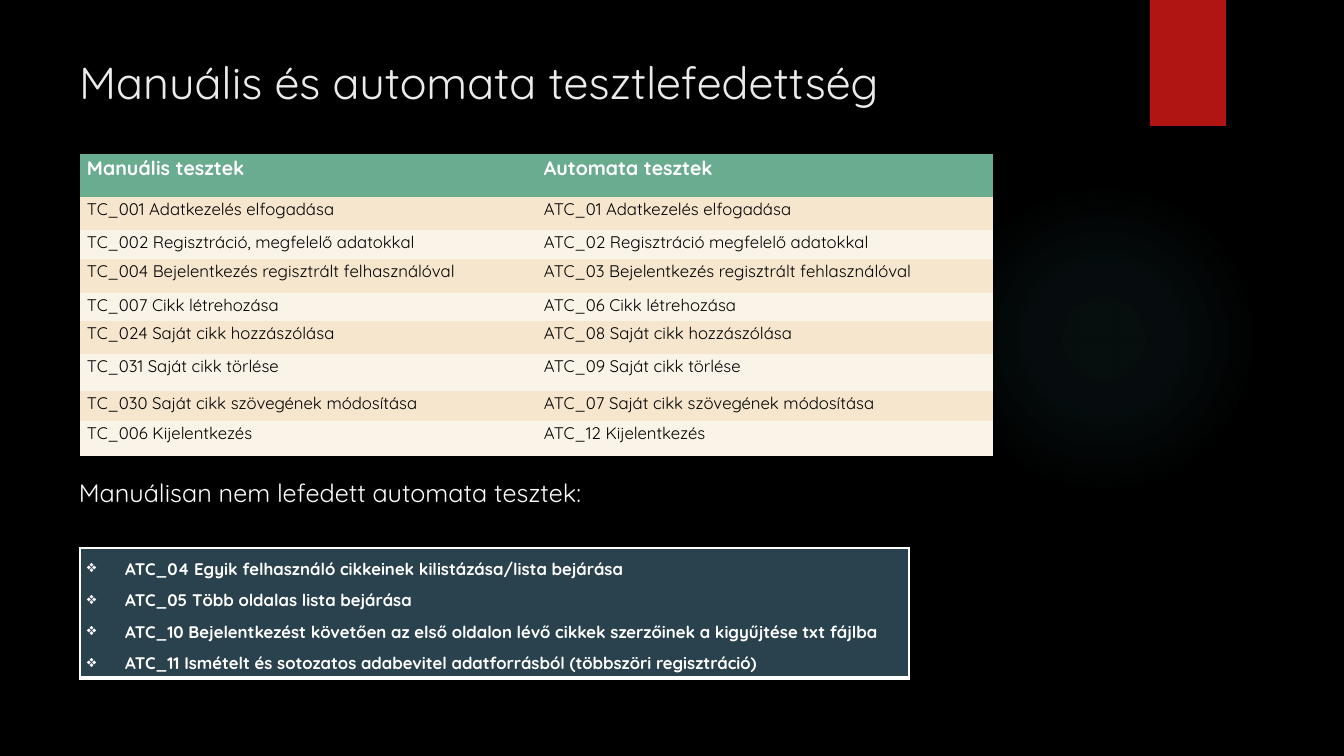
from dataclasses import dataclass

from pptx import Presentation
from pptx import util as u
from pptx.dml.color import RGBColor
from pptx.enum import shapes, text
from pptx.oxml import parse_xml
from pptx.oxml.ns import qn

EMU_PER_PX = 914400 / 100.8
EMU_PER_PT = 12700
DRAWING_NS = 'xmlns:a="http://schemas.openxmlformats.org/drawingml/2006/main"'
PLAIN_TABLE_STYLE = "{2D5ABB26-0587-4C30-8999-92F81FD0307C}"


@dataclass(frozen=True)
class Theme:
    font: str = "Quicksand"
    background: str = "000000"
    glow: str = "50B9C1"
    ribbon: str = "B01513"
    title: str = "EBEBEB"
    light: str = "FFFFFF"
    dark: str = "000000"
    header: str = "6AAC90"
    bands: tuple = ("F5E6CD", "FAF3E8")
    panel: str = "2A424D"
    title_size: int = 32
    subtitle_size: int = 18
    header_size: int = 14
    body_size: int = 12


THEME = Theme()

COVERAGE = [
    ("Manuális tesztek", "Automata tesztek"),
    ("TC_001 Adatkezelés elfogadása", "ATC_01 Adatkezelés elfogadása"),
    ("TC_002 Regisztráció, megfelelő adatokkal", "ATC_02 Regisztráció megfelelő adatokkal"),
    ("TC_004 Bejelentkezés regisztrált felhasználóval",
     "ATC_03 Bejelentkezés regisztrált fehlasználóval"),
    ("TC_007 Cikk létrehozása", "ATC_06 Cikk létrehozása"),
    ("TC_024 Saját cikk hozzászólása", "ATC_08 Saját cikk hozzászólása"),
    ("TC_031 Saját cikk törlése", "ATC_09 Saját cikk törlése"),
    ("TC_030 Saját cikk szövegének módosítása", "ATC_07 Saját cikk szövegének módosítása"),
    ("TC_006 Kijelentkezés", "ATC_12 Kijelentkezés"),
]
COVERAGE_HEIGHTS = [43, 33, 29, 34, 28, 33, 37, 30, 35]

AUTOMATED_ONLY = [
    "ATC_04 Egyik felhasználó cikkeinek kilistázása/lista bejárása",
    "ATC_05 Több oldalas lista bejárása",
    "ATC_10 Bejelentkezést követően az első oldalon lévő cikkek szerzőinek a kigyűjtése txt fájlba",
    "ATC_11 Ismételt és sotozatos adabevitel adatforrásból (többszöri regisztráció)",
]


def px(length):
    return u.Emu(round(length * EMU_PER_PX))


def set_fill(owner, color):
    owner.fill.solid()
    owner.fill.fore_color.rgb = RGBColor.from_string(color)


def style_paragraph(paragraph, size, color, bold=False, spacing=None):
    font = paragraph.font
    font.name, font.size, font.bold = THEME.font, u.Pt(size), bold
    font.color.rgb = RGBColor.from_string(color)
    paragraph.alignment = text.PP_ALIGN.LEFT
    if spacing:
        paragraph.line_spacing = spacing


def write_heading(box, words, size, color):
    frame = box.text_frame
    frame.word_wrap = True
    frame.vertical_anchor = text.MSO_ANCHOR.TOP
    frame.text = words
    style_paragraph(frame.paragraphs[0], size, color)


def add_plain_shape(slide, kind, left, top, width, height, color):
    shape = slide.shapes.add_shape(kind, px(left), px(top), px(width), px(height))
    shape.shadow.inherit = False
    shape.line.fill.background()
    set_fill(shape, color)
    return shape


def add_glow(slide):
    """Add the faint circle whose colour fades out towards its edge."""
    glow = add_plain_shape(slide, shapes.MSO_SHAPE.OVAL, 949, 184, 310, 310, THEME.glow)
    stops = "".join(
        f'<a:gs pos="{position * 1000}"><a:srgbClr val="{THEME.glow}">'
        f'<a:alpha val="{alpha * 1000}"/></a:srgbClr></a:gs>'
        for position, alpha in ((0, 7), (36, 6), (69, 0)))
    gradient = parse_xml(
        f'<a:gradFill {DRAWING_NS} rotWithShape="1"><a:gsLst>{stops}</a:gsLst>'
        '<a:path path="circle"><a:fillToRect l="50000" t="50000" r="50000" b="50000"/>'
        '</a:path></a:gradFill>')
    properties = glow._element.spPr
    properties.replace(properties.find(qn("a:solidFill")), gradient)


def add_ribbon(slide):
    ribbon = add_plain_shape(slide, shapes.MSO_SHAPE.RECTANGLE, 1150, 0, 76, 126, THEME.ribbon)
    effects = ribbon._element.spPr.find(qn("a:effectLst"))
    effects.append(parse_xml(
        f'<a:outerShdw {DRAWING_NS} blurRad="{3 * EMU_PER_PT}" dist="{2 * EMU_PER_PT}" '
        'dir="5400000" rotWithShape="0"><a:srgbClr val="000000"><a:alpha val="45000"/>'
        '</a:srgbClr></a:outerShdw>'))


def add_plain_table(slide, left, top, column_widths, row_heights):
    frame = slide.shapes.add_table(
        len(row_heights), len(column_widths), px(left), px(top),
        px(sum(column_widths)), px(sum(row_heights)))
    table = frame.table
    table.first_row = table.horz_banding = False
    table._tbl.tblPr.find(qn("a:tableStyleId")).text = PLAIN_TABLE_STYLE
    for column, width in zip(table.columns, column_widths):
        column.width = px(width)
    for row, height in zip(table.rows, row_heights):
        row.height = px(height)
    return table


def fill_cell(cell, words, fill, size, color, bold, spacing):
    cell.margin_left = cell.margin_right = px(7)
    cell.margin_top = cell.margin_bottom = 0
    cell.vertical_anchor = text.MSO_ANCHOR.TOP
    set_fill(cell, fill)
    cell.text = words
    for paragraph in cell.text_frame.paragraphs:
        style_paragraph(paragraph, size, color, bold, spacing)


def add_coverage_table(slide):
    table = add_plain_table(slide, 80, 154, [457, 456], COVERAGE_HEIGHTS)
    for row, entries in enumerate(COVERAGE):
        if row == 0:
            look = (THEME.header, THEME.header_size, THEME.light, True)
        else:
            look = (THEME.bands[(row - 1) % 2], THEME.body_size, THEME.dark, False)
        for column, words in enumerate(entries):
            fill_cell(table.cell(row, column), words, *look, 1.07)


def set_borders(cell, color, widths):
    """Draw cell borders; widths are points for left, right, top and bottom."""
    properties = cell._tc.get_or_add_tcPr()
    for index, (side, width) in enumerate(zip("LRTB", widths)):
        properties.insert(index, parse_xml(
            f'<a:ln{side} {DRAWING_NS} w="{width * EMU_PER_PT}"><a:solidFill>'
            f'<a:srgbClr val="{color}"/></a:solidFill></a:ln{side}>'))


def add_bullet(paragraph, symbol, indent):
    properties = paragraph._p.get_or_add_pPr()
    properties.set("marL", str(px(indent)))
    properties.set("indent", str(px(-indent)))
    properties.insert_element_before(
        parse_xml(f'<a:buChar {DRAWING_NS} char="{symbol}"/>'),
        "a:tabLst", "a:defRPr", "a:extLst")


def add_automated_panel(slide):
    panel = add_plain_table(slide, 80, 548, [829], [130]).cell(0, 0)
    fill_cell(panel, "\n".join(AUTOMATED_ONLY), THEME.panel,
              THEME.body_size, THEME.light, True, 1.5)
    for paragraph in panel.text_frame.paragraphs:
        add_bullet(paragraph, "❖", 38)
    set_borders(panel, THEME.light, (1, 1, 1, 3))


def main():
    deck = Presentation()
    deck.slide_width, deck.slide_height = px(1344), px(756)
    slide = deck.slides.add_slide(deck.slide_layouts.get_by_name("Title Only"))
    set_fill(slide.background, THEME.background)
    add_glow(slide)
    add_ribbon(slide)

    title = slide.shapes.title
    title.left, title.top, title.width, title.height = map(px, (69, 50, 1040, 81))
    write_heading(title, "Manuális és automata tesztlefedettség",
                  THEME.title_size, THEME.title)
    add_coverage_table(slide)

    subtitle = slide.shapes.add_textbox(*map(px, (69, 472, 878, 102)))
    write_heading(subtitle, "Manuálisan nem lefedett automata tesztek:",
                  THEME.subtitle_size, THEME.light)
    add_automated_panel(slide)
    deck.save("out.pptx")


if __name__ == "__main__":
    main()
